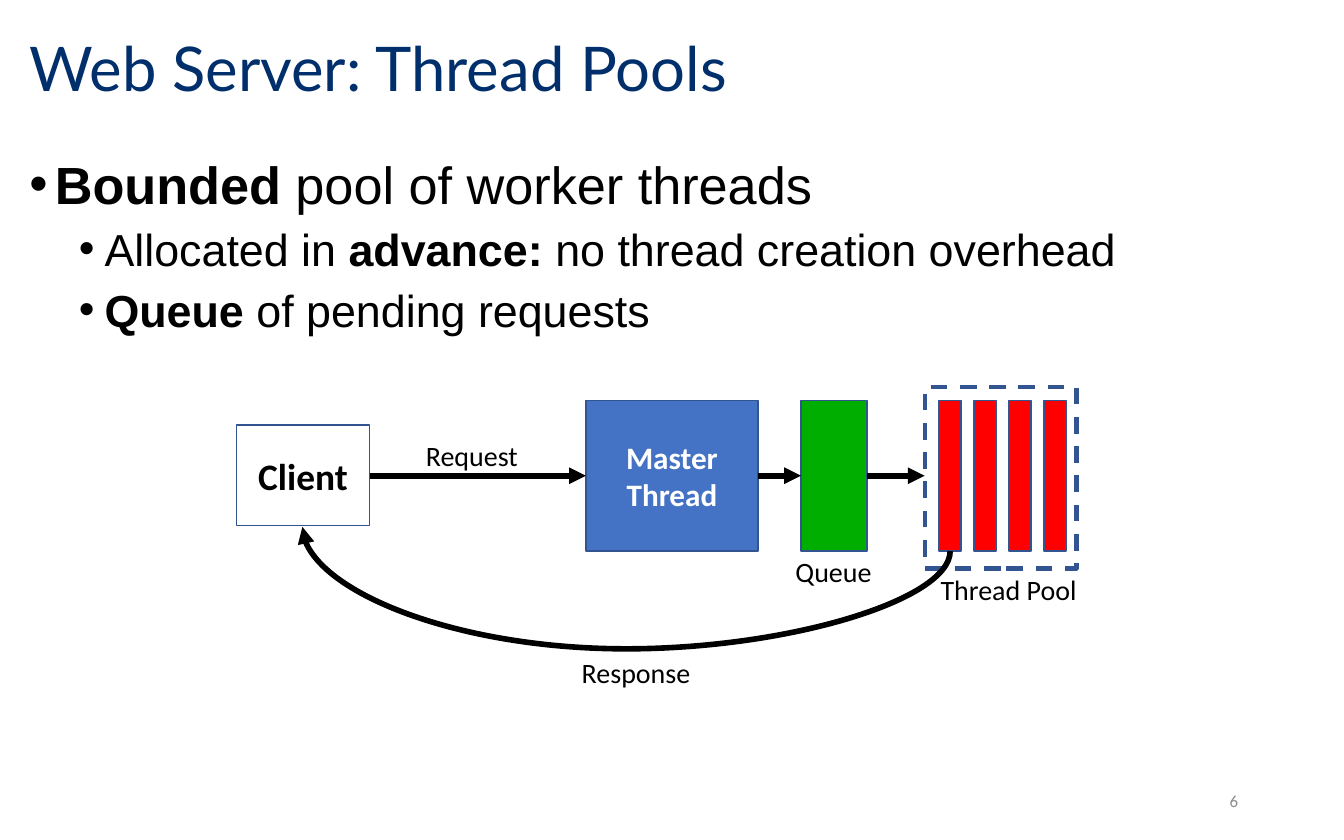
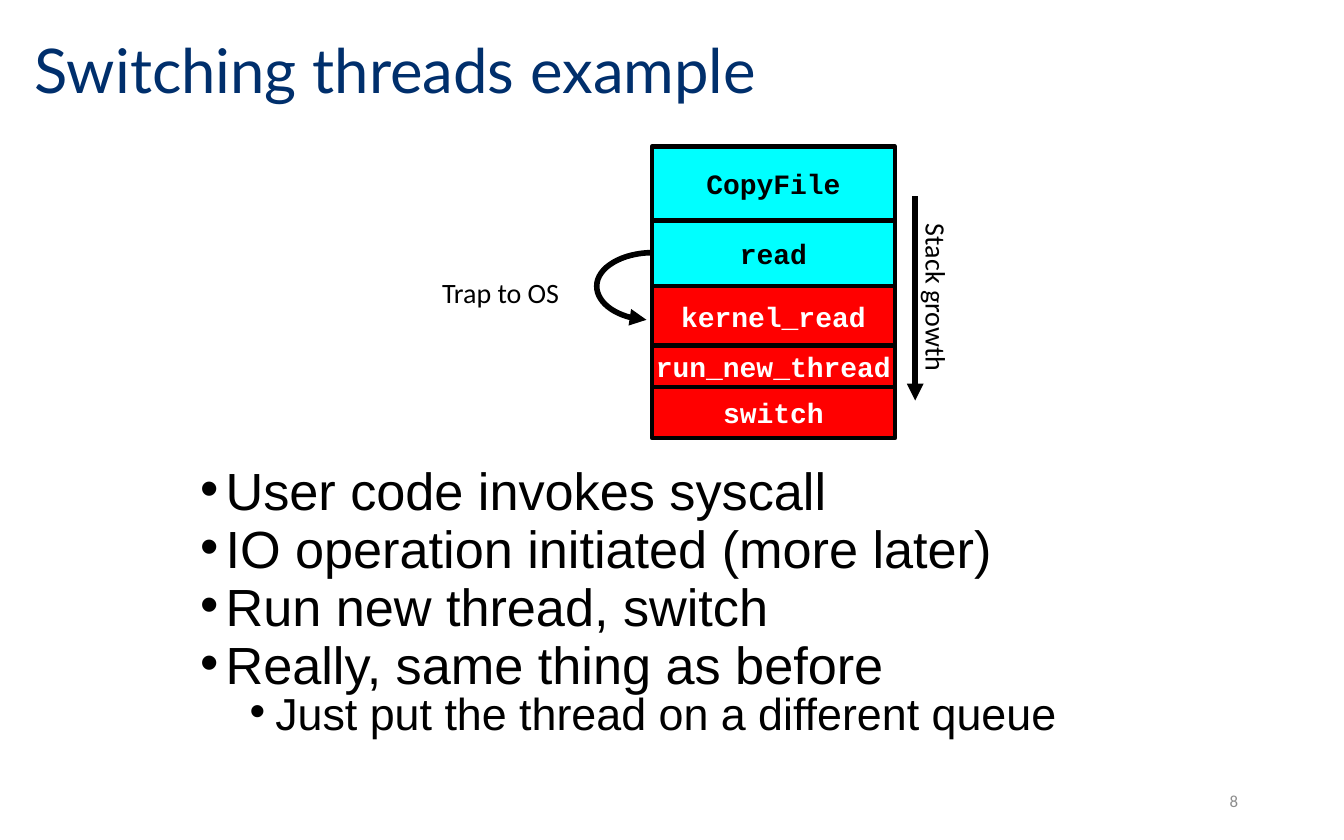
import pptx
import pptx.util
import pptx.dml.color
import pptx.enum.dml
import pptx.enum.shapes
import pptx.enum.text
import pptx.oxml.ns
from lxml import etree

# Shared look
SLIDE_WIDTH, SLIDE_HEIGHT = 10, 6.25
NAVY, BLACK, WHITE, GRAY = "002F6C", "000000", "FFFFFF", "8C8C8C"
BLUE, BLUE_EDGE, GREEN, RED, CYAN = "4472C4", "325491", "00AE00", "FF0000", "00FFFF"
TITLE_FONT, BODY_FONT, LABEL_FONT, CODE_FONT = "Lato", "Arial", "Calibri", "Courier New"
NUMBER_BOX = (7.06, 5.79, 2.25, 0.33)
# Per bullet level: text size, left margin in inches, space before in points
BULLET_LEVELS = [(28, 0.19, 7.5), (24, 0.56, 3.8)]
HANGING = 0.19
ARROW_WIDTH = 3
LABEL_HEIGHT = 0.35

# Content: bullets are (level, text), with bold parts between asterisks
POOL_TITLE = "Web Server: Thread Pools"
POOL_BULLETS = [
    (0, "*Bounded* pool of worker threads"),
    (1, "Allocated in *advance:* no thread creation overhead"),
    (1, "*Queue* of pending requests"),
]
SWITCH_TITLE = "Switching threads example"
SWITCH_BULLETS = [
    (0, "User code invokes syscall"),
    (0, "IO operation initiated (more later)"),
    (0, "Run new thread, switch"),
    (0, "Really, same thing as before"),
    (1, "Just put the thread on a different queue"),
]
# Stack frames from the top down: name, height, fill, text colour
STACK_FRAMES = [
    ("CopyFile", 0.55, CYAN, BLACK),
    ("read", 0.49, CYAN, BLACK),
    ("kernel_read", 0.44, RED, WHITE),
    ("run_new_thread", 0.31, RED, WHITE),
    ("switch", 0.38, RED, WHITE),
]

# Pool diagram: boxes as left, top, width, height
ROW_TOP, ROW_HEIGHT, ARROW_Y = 2.98, 1.12, 3.54
CLIENT_BOX = (1.76, 3.16, 0.99, 0.75)
MASTER_BOX = (4.36, ROW_TOP, 1.28, ROW_HEIGHT)
QUEUE_BOX = (5.96, ROW_TOP, 0.49, ROW_HEIGHT)
POOL_BOX = (6.88, 2.88, 1.13, 1.35)
WORKER_COUNT, WORKER_WIDTH, WORKER_PITCH, POOL_PADDING = 4, 0.16, 0.26, 0.11
POOL_LABELS = [
    ("Queue", 5.82, 4.08, 0.78),
    ("Thread Pool", 6.9, 4.21, 1.22),
    ("Request", 3.07, 3.21, 0.89),
    ("Response", 4.23, 4.83, 1.02),
]
RESPONSE_BOX = (4.57, 1.6, 0.18, 4.82)  # before its quarter turn
RESPONSE_BEND = -404500

# Stack diagram
STACK_LEFT, STACK_TOP, STACK_WIDTH = 4.85, 1.09, 1.81
TRAP_CURVES = [
    [(4.86, 1.88), (4.63, 1.88), (4.44, 1.99), (4.44, 2.13)],
    [(4.44, 2.13), (4.44, 2.26), (4.6, 2.37), (4.81, 2.38)],
]
CURVE_STEPS = 16

ALIGN = pptx.enum.text.PP_ALIGN
ANCHOR = pptx.enum.text.MSO_ANCHOR


def inches(*values):
    return [pptx.util.Inches(value) for value in values]


def color(hex_code):
    return pptx.dml.color.RGBColor.from_string(hex_code)


def add_element(parent, tag, **attributes):
    return etree.SubElement(parent, pptx.oxml.ns.qn(tag), attributes)


def write_text(frame, text, new_paragraph=False, size=15, font=LABEL_FONT, ink=BLACK,
               bold=False, align=ALIGN.LEFT, spacing=1.0, before=0, margin=None):
    """Write one paragraph; asterisks toggle bold, a margin makes it a bullet."""
    paragraph = frame.add_paragraph() if new_paragraph else frame.paragraphs[0]
    paragraph.alignment = align
    paragraph.line_spacing = spacing
    paragraph.space_before = pptx.util.Pt(before)
    if margin is not None:
        properties = paragraph._p.get_or_add_pPr()
        properties.set("marL", str(pptx.util.Inches(margin)))
        properties.set("indent", str(-pptx.util.Inches(HANGING)))
        add_element(properties, "a:buFont", typeface=BODY_FONT)
        add_element(properties, "a:buChar", char="•")
    for index, part in enumerate(text.split("*")):
        if part:
            run = paragraph.add_run()
            run.text = part
            run.font.size = pptx.util.Pt(size)
            run.font.name = font
            run.font.bold = bold or index % 2 == 1
            run.font.color.rgb = color(ink)


def add_text(slide, box, text="", wrap=True, anchor=ANCHOR.TOP, **text_format):
    shape = slide.shapes.add_textbox(*inches(*box))
    shape.text_frame.word_wrap = wrap
    shape.text_frame.vertical_anchor = anchor
    if text:
        write_text(shape.text_frame, text, **text_format)
    return shape


def add_bullets(slide, box, bullets, spacing=1.0):
    frame = add_text(slide, box).text_frame
    for index, (level, text) in enumerate(bullets):
        size, margin, before = BULLET_LEVELS[level]
        write_text(frame, text, new_paragraph=index > 0, size=size, font=BODY_FONT,
                   spacing=spacing, before=before if index else 0, margin=margin)


def add_box(slide, box, fill=None, edge=BLUE_EDGE, edge_width=1, text="", wrap=True,
            **text_format):
    shape = slide.shapes.add_shape(
        pptx.enum.shapes.MSO_SHAPE.RECTANGLE, *inches(*box))
    shape.shadow.inherit = False
    if fill:
        shape.fill.solid()
        shape.fill.fore_color.rgb = color(fill)
    else:
        shape.fill.background()
    shape.line.color.rgb = color(edge)
    shape.line.width = pptx.util.Pt(edge_width)
    shape.text_frame.word_wrap = wrap
    shape.text_frame.vertical_anchor = ANCHOR.MIDDLE
    if text:
        write_text(shape.text_frame, text, bold=True, align=ALIGN.CENTER, **text_format)
    return shape


def style_arrow(shape):
    shape.line.color.rgb = color(BLACK)
    shape.line.width = pptx.util.Pt(ARROW_WIDTH)
    add_element(shape.line._get_or_add_ln(), "a:tailEnd", type="triangle")


def add_arrow(slide, start, end, kind=pptx.enum.shapes.MSO_CONNECTOR.STRAIGHT):
    connector = slide.shapes.add_connector(kind, *inches(*start, *end))
    style_arrow(connector)
    add_element(connector._element.spPr, "a:effectLst")
    return connector


def add_response_arrow(slide):
    """Curved connector, turned a quarter so that it hangs below the row."""
    left, top, width, height = RESPONSE_BOX
    arrow = add_arrow(slide, (left + width, top), (left, top + height),
                      kind=pptx.enum.shapes.MSO_CONNECTOR.CURVE)
    properties = arrow._element.spPr
    properties.find(pptx.oxml.ns.qn("a:xfrm")).set("rot", str(90 * 60000))
    geometry = properties.find(pptx.oxml.ns.qn("a:prstGeom"))
    adjustments = geometry.find(pptx.oxml.ns.qn("a:avLst"))
    if adjustments is None:
        adjustments = add_element(geometry, "a:avLst")
    add_element(adjustments, "a:gd", name="adj1", fmla=f"val {RESPONSE_BEND}")


def curve_point(controls, share):
    weights = [(1 - share) ** 3, 3 * share * (1 - share) ** 2,
               3 * share ** 2 * (1 - share), share ** 3]
    return tuple(sum(weight * point[axis] for weight, point in zip(weights, controls))
                 for axis in (0, 1))


def add_trap_arrow(slide):
    points = [curve_point(controls, step / CURVE_STEPS)
              for controls in TRAP_CURVES for step in range(1, CURVE_STEPS + 1)]
    builder = slide.shapes.build_freeform(
        *inches(*TRAP_CURVES[0][0]), scale=1.0)
    builder.add_line_segments([inches(*point) for point in points], close=False)
    shape = builder.convert_to_shape()
    shape.shadow.inherit = False
    shape.fill.background()
    style_arrow(shape)


def add_slide(presentation, title, title_box, number):
    slide = presentation.slides.add_slide(presentation.slide_layouts[6])
    add_text(slide, title_box, title, anchor=ANCHOR.MIDDLE, size=33, font=TITLE_FONT,
             ink=NAVY, spacing=0.9)
    add_text(slide, NUMBER_BOX, str(number), anchor=ANCHOR.MIDDLE, size=9, ink=GRAY,
             align=ALIGN.RIGHT)
    return slide


def build_pool_slide(presentation):
    slide = add_slide(presentation, POOL_TITLE, (0.12, 0.1, 8.52, 0.86), 6)
    add_bullets(slide, (0.12, 1.08, 9.77, 4.55), POOL_BULLETS)

    # Boxes along the request row
    add_box(slide, CLIENT_BOX, text="Client", size=20)
    add_box(slide, MASTER_BOX, fill=BLUE, text="Master Thread", size=16.7, ink=WHITE)
    add_box(slide, QUEUE_BOX, fill=GREEN)
    for index in range(WORKER_COUNT):
        left = POOL_BOX[0] + POOL_PADDING + index * WORKER_PITCH
        add_box(slide, (left, ROW_TOP, WORKER_WIDTH, ROW_HEIGHT), fill=RED)
    pool = add_box(slide, POOL_BOX, edge_width=2.25)
    pool.line.dash_style = pptx.enum.dml.MSO_LINE.DASH

    # Arrows from each box to the next, and back to the client
    row = [CLIENT_BOX, MASTER_BOX, QUEUE_BOX, POOL_BOX]
    for source, target in zip(row, row[1:]):
        add_arrow(slide, (source[0] + source[2], ARROW_Y), (target[0], ARROW_Y))
    add_response_arrow(slide)

    for text, left, top, width in POOL_LABELS:
        add_text(slide, (left, top, width, LABEL_HEIGHT), text, wrap=False)


def build_switch_slide(presentation):
    slide = add_slide(presentation, SWITCH_TITLE, (0.16, 0.06, 7.43, 0.98), 8)
    add_bullets(slide, (1.39, 3.49, 7.36, 2.16), SWITCH_BULLETS, spacing=0.7)

    # Call stack
    top = STACK_TOP
    for name, height, fill, ink in STACK_FRAMES:
        add_box(slide, (STACK_LEFT, top, STACK_WIDTH, height), fill=fill, edge=BLACK,
                edge_width=2.25, text=name, wrap=False, font=CODE_FONT, ink=ink)
        top += height

    # Trap and growth direction
    add_trap_arrow(slide)
    add_text(slide, (3.15, 2, 1.15, LABEL_HEIGHT), "Trap to OS", wrap=False,
             align=ALIGN.CENTER)
    growth = add_text(slide, (6.31, 2.04, 1.32, LABEL_HEIGHT), "Stack growth",
                      wrap=False, align=ALIGN.CENTER)
    growth.rotation = 90
    add_arrow(slide, (6.81, 1.46), (6.81, 2.98))


def main():
    presentation = pptx.Presentation()
    presentation.slide_width, presentation.slide_height = inches(SLIDE_WIDTH, SLIDE_HEIGHT)
    build_pool_slide(presentation)
    build_switch_slide(presentation)
    presentation.save("out.pptx")


if __name__ == "__main__":
    main()
